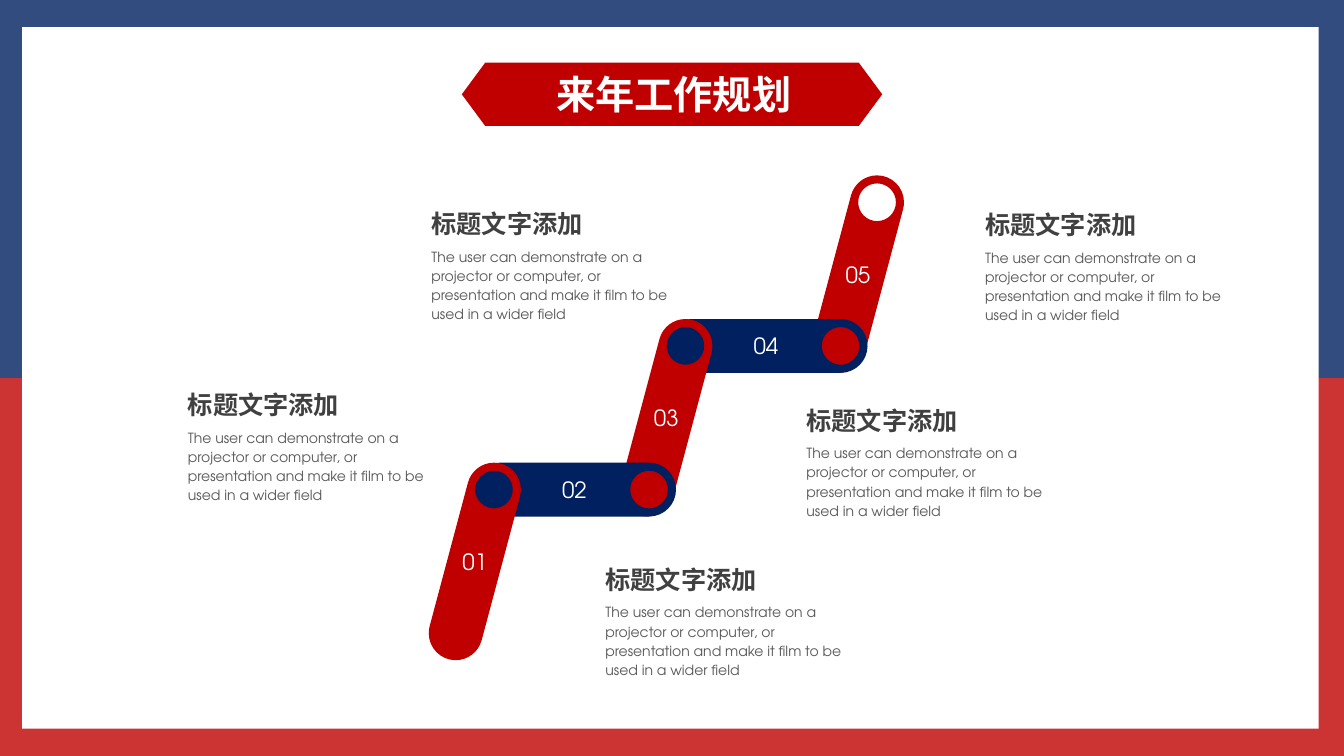
import math
from dataclasses import dataclass

import pptx
import pptx.dml.color
import pptx.enum.shapes
import pptx.enum.text
import pptx.oxml
import pptx.oxml.ns
import pptx.util
from lxml import etree

Pt = pptx.util.Pt
RGB = pptx.dml.color.RGBColor.from_string
qn = pptx.oxml.ns.qn
Shape = pptx.enum.shapes.MSO_SHAPE
Anchor = pptx.enum.text.MSO_ANCHOR
Align = pptx.enum.text.PP_ALIGN
AutoSize = pptx.enum.text.MSO_AUTO_SIZE


@dataclass(frozen=True)
class Theme:
    red: str = "C00000"
    navy: str = "002060"
    white: str = "FFFFFF"
    latin: str = "TeX Gyre Adventor"
    cjk: str = "Noto Sans CJK SC"


THEME = Theme()
STYLES = {
    "title": dict(size=Pt(28), bold=True, name=THEME.cjk, color=THEME.white),
    "number": dict(size=Pt(16), name=THEME.latin, color=THEME.white),
    "heading": dict(size=Pt(18), bold=True, name=THEME.latin, color="404040"),
    "body": dict(size=Pt(10), name=THEME.latin, color="595959"),
}
CENTRED = dict(margin_left=0, margin_right=0, margin_top=0, margin_bottom=0,
               vertical_anchor=Anchor.MIDDLE, auto_size=AutoSize.NONE)

TITLE = "来年工作规划"
HEADING = "标题文字添加"
BODY = ("The user can demonstrate on a projector or computer, or presentation "
        "and make it film to be used in a wider field")
# Left and top of each caption, in percent of the slide
CAPTIONS = [(13.25, 50.88), (44.31, 74), (31.37, 26.93), (59.27, 52.93), (72.57, 27.07)]


def share(prs, left, top, width, height):
    """Turn percentages of the slide into a box of lengths."""
    w, h = prs.slide_width / 100, prs.slide_height / 100
    return [round(v) for v in (left * w, top * h, width * w, height * h)]


def set_all(target, values):
    for name, value in values.items():
        setattr(target, name, value)


def write(sp, text, style, frame, align=Align.LEFT, spacing=None):
    tf = sp.text_frame
    set_all(tf, frame)
    p = tf.paragraphs[0]
    set_all(p, dict(alignment=align, line_spacing=spacing))
    r = p.add_run()
    r.text = text
    values = dict(STYLES[style])
    r.font.color.rgb = RGB(values.pop("color"))
    set_all(r.font, values)
    ea = etree.SubElement(r.font._element, qn("a:ea"))
    ea.set("typeface", THEME.cjk)


def paint(sp, color, opacity=100):
    sp.shadow.inherit = False
    sp.fill.solid()
    sp.fill.fore_color.rgb = RGB(color)
    sp.line.fill.background()
    if opacity < 100:
        clr = sp.element.find(".//" + qn("a:srgbClr"))
        etree.SubElement(clr, qn("a:alpha")).set("val", str(opacity * 1000))
    return sp


def add_frame(prs, s):
    """Two translucent bands behind a white panel, kept on the slide master."""
    parts = [((0, 0, 100, 50), THEME.navy, 80),
             ((0, 50, 100, 50), THEME.red, 80),
             ((1.65, 3.6, 96.47, 92.8), THEME.white, 100)]
    for i, (box, color, opacity) in enumerate(parts):
        sp = paint(s.shapes.add_shape(Shape.RECTANGLE, *share(prs, *box)), color, opacity)
        sp.element.nvSpPr.cNvPr.set("id", str(100 + i))
        prs.slide_master.shapes.element.insert(2 + i, sp.element)


def add_title(s, ribbon_box, text_box):
    ribbon = paint(s.shapes.add_shape(Shape.HEXAGON, *ribbon_box), THEME.red)
    ribbon.adjustments[0] = 0.37
    title = s.shapes.title
    set_all(title, dict(zip(("left", "top", "width", "height"), text_box)))
    write(title, TITLE, "title", dict(CENTRED, word_wrap=False), Align.CENTER)
    title.element.getparent().append(title.element)


def arc(centre, radius, start, end):
    """Start point and Bezier points of an arc in degrees, split at the axes."""
    def at(angle, reach=0.0):
        a = math.radians(angle)
        return (round(centre[0] + radius * (math.cos(a) - reach * math.sin(a))),
                round(centre[1] + radius * (math.sin(a) + reach * math.cos(a))))

    stops = [start] + [a for a in range(-360, 721, 90) if start + 0.01 < a < end - 0.01] + [end]
    points = [at(start)]
    for a, b in zip(stops, stops[1:]):
        reach = 4 / 3 * math.tan(math.radians(b - a) / 4)
        points += [at(a, reach), at(b, -reach), at(b)]
    return points


def bend(sp, straight):
    """Join each three line points into a curve, except the line numbered straight."""
    lines = list(sp.element.iter(qn("a:lnTo")))
    del lines[straight]
    for first, second, last in zip(*[iter(lines)] * 3):
        curve = etree.Element(qn("a:cubicBezTo"))
        first.addprevious(curve)
        for line in (first, second, last):
            curve.append(line[0])
            line.getparent().remove(line)


def add_arm(s, start, end, radius, color, label):
    """A capsule from start to end with a round hole at its end."""
    turn = math.degrees(math.atan2(end[1] - start[1], end[0] - start[0]))
    far = arc(end, radius, turn - 90, turn + 90)
    near = arc(start, radius, turn + 90, turn + 270)
    hole = arc(end, radius * 0.7, 0, 360)
    fb = s.shapes.build_freeform(*far[0])
    fb.add_line_segments(far[1:] + near, close=True)
    fb.move_to(*hole[0])
    fb.add_line_segments(hole[1:], close=True)
    sp = paint(fb.convert_to_shape(), color)
    bend(sp, len(far) - 1)
    write(sp, label, "number", CENTRED, Align.CENTER)


def add_staircase(s, box, rises=3):
    """Leaning red arms joined by level navy arms, the lowest in front."""
    left, top, width, height = box
    radius = height * 0.0555
    rise = (height - 2 * radius) / rises
    stride = (width - 2 * radius) / (rises - 0.8)
    arms = []
    for i in range(rises):
        x, y = left + radius + i * stride, top + height - radius - i * rise
        arms.append(((x, y), (x + 0.2 * stride, y - rise), THEME.red))
        if i < rises - 1:
            flat = x + 0.23 * stride
            arms.append(((flat, y - rise), (flat + 0.78 * stride, y - rise), THEME.navy))
    for number in range(len(arms), 0, -1):
        start, end, color = arms[number - 1]
        add_arm(s, start, end, radius, color, f"{number:02}")


def add_caption(prs, s, left, top):
    frame = dict(word_wrap=True, auto_size=AutoSize.SHAPE_TO_FIT_TEXT)
    heading = s.shapes.add_textbox(*share(prs, left, top, 17.48, 5.33))
    write(heading, HEADING, "heading", frame)
    body = s.shapes.add_textbox(*share(prs, left, top + 4.93, 19.28, 11.6))
    write(body, BODY, "body", frame, spacing=1.14)


def main():
    prs = pptx.Presentation()
    prs.slide_width, prs.slide_height = pptx.util.Inches(13.33), pptx.util.Inches(7.5)
    s = prs.slides.add_slide(prs.slide_layouts.get_by_name("Title Only"))
    add_frame(prs, s)
    add_staircase(s, share(prs, 31.9, 23.2, 35.36, 64.13))
    for left, top in CAPTIONS:
        add_caption(prs, s, left, top)
    add_title(s, share(prs, 34.36, 8.3, 31.28, 8.37), share(prs, 40.53, 8.67, 19.2, 7.6))
    prs.save("out.pptx")


if __name__ == "__main__":
    main()
